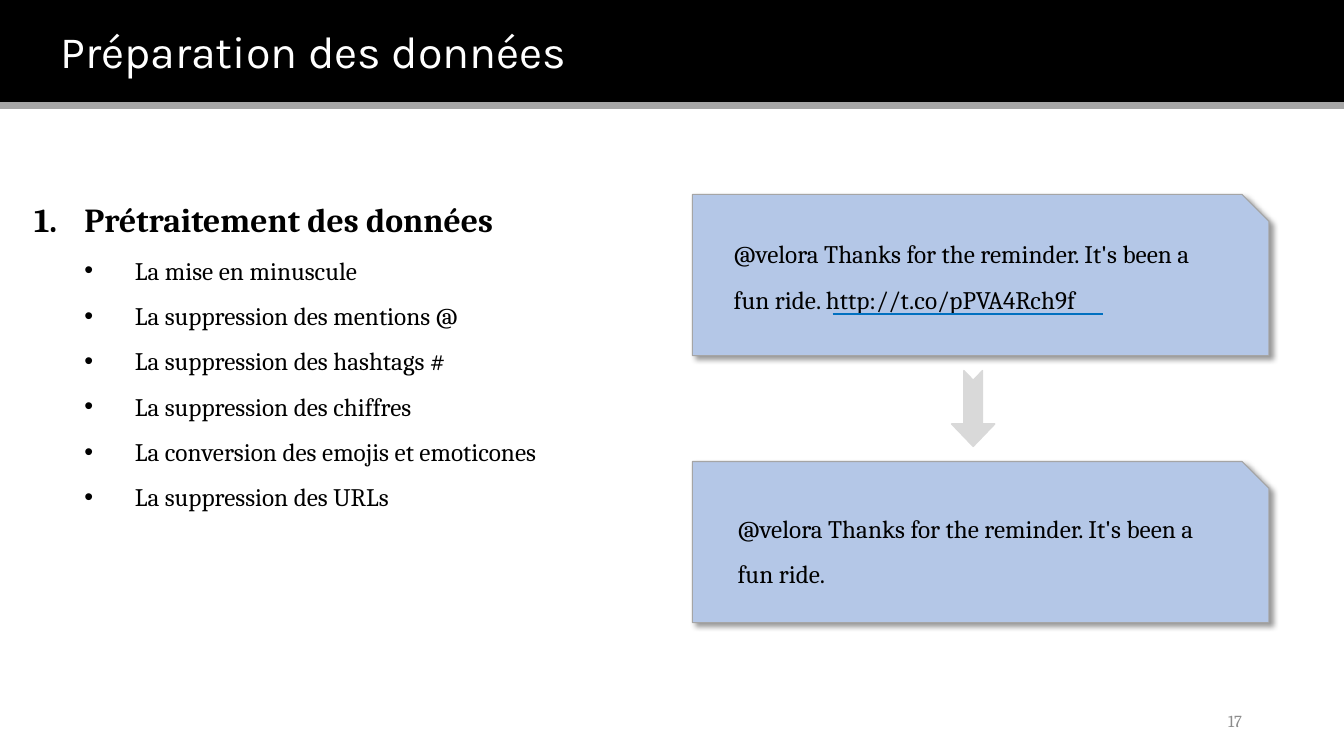
"""Build the slide on data preparation for tweets."""
from lxml import etree
from pptx import Presentation
from pptx.dml.color import RGBColor
from pptx.enum.shapes import MSO_CONNECTOR, MSO_SHAPE
from pptx.enum.text import MSO_ANCHOR, PP_ALIGN
from pptx.oxml.ns import qn
from pptx.util import Cm, Pt

RECTANGLE = MSO_SHAPE.RECTANGLE
CARD = MSO_SHAPE.SNIP_1_RECTANGLE
ARROW = MSO_SHAPE.NOTCHED_RIGHT_ARROW
STRAIGHT = MSO_CONNECTOR.STRAIGHT
MIDDLE = MSO_ANCHOR.MIDDLE
LEFT = PP_ALIGN.LEFT
RIGHT = PP_ALIGN.RIGHT

BLACK = RGBColor(0x00, 0x00, 0x00)
WHITE = RGBColor(0xFF, 0xFF, 0xFF)
BAR_GREY = RGBColor(0xA6, 0xA6, 0xA6)
CARD_BLUE = RGBColor(0xB4, 0xC7, 0xE7)
CARD_EDGE = RGBColor(0xA5, 0xA5, 0xA5)
ARROW_GREY = RGBColor(0xD9, 0xD9, 0xD9)
NUMBER_GREY = RGBColor(0x8C, 0x8C, 0x8C)
LINK_BLUE = RGBColor(0x00, 0x70, 0xC0)

BODY_FONT = "Cambria"
TITLE_FONT = "Karla"
INDENT = Cm(1.27)

STEPS = [
    "La mise en minuscule",
    "La suppression des mentions @",
    "La suppression des hashtags #",
    "La suppression des chiffres",
    "La conversion des emojis et emoticones",
    "La suppression des URLs",
]
CLEAN_TWEET = "@velora Thanks for the reminder. It's been a fun ride."
RAW_TWEET = f"{CLEAN_TWEET} http://t.co/pPVA4Rch9f"


def add_filled_shape(slide, kind, box, fill, edge, edge_width=1):
    """Add a preset shape with a plain fill and outline."""
    shape = slide.shapes.add_shape(kind, *map(Cm, box))
    shape.shadow.inherit = False
    shape.fill.solid()
    shape.fill.fore_color.rgb = fill
    shape.line.color.rgb = edge
    shape.line.width = Pt(edge_width)
    return shape


def add_text_box(slide, box, wrap=True):
    """Add an empty text box and return its text frame."""
    frame = slide.shapes.add_textbox(*map(Cm, box)).text_frame
    frame.word_wrap = wrap
    return frame


def style_font(paragraph, size, color=BLACK, name=BODY_FONT, bold=False):
    """Set the font of a whole paragraph."""
    font = paragraph.font
    font.size = Pt(size)
    font.name = name
    font.bold = bold
    font.color.rgb = color


def set_indent(paragraph, margin, indent):
    """Set the left margin and first-line indent of a paragraph."""
    properties = paragraph._p.get_or_add_pPr()
    properties.set("marL", str(margin))
    properties.set("indent", str(indent))
    return properties


def add_title(slide):
    """Add the black title band and the grey bar under it."""
    band = add_filled_shape(slide, RECTANGLE, (0, 0, 33.87, 2.57), BLACK, BLACK)
    band.text_frame.vertical_anchor = MIDDLE
    paragraph = band.text_frame.paragraphs[0]
    paragraph.text = "Préparation des données"
    paragraph.alignment = LEFT
    set_indent(paragraph, INDENT, 0)
    style_font(paragraph, 32, WHITE, TITLE_FONT)
    add_filled_shape(slide, RECTANGLE, (0, 2.59, 33.87, 0.13), BAR_GREY, BAR_GREY)


def add_steps(slide):
    """Add the numbered heading with its bulleted steps."""
    frame = add_text_box(slide, (0.61, 4.9, 14.1, 8.1), wrap=False)
    heading = frame.paragraphs[0]
    heading.text = "Prétraitement des données"
    properties = set_indent(heading, INDENT, -INDENT)
    etree.SubElement(properties, qn("a:buFont"), typeface="+mj-lt")
    etree.SubElement(properties, qn("a:buAutoNum"), type="arabicPeriod")
    style_font(heading, 24, bold=True)
    for step in STEPS:
        paragraph = frame.add_paragraph()
        paragraph.text = step
        paragraph.level = 1
        paragraph.line_spacing = 1.5
        properties = set_indent(paragraph, 2 * INDENT, -INDENT)
        etree.SubElement(properties, qn("a:buFont"), typeface="Arial")
        etree.SubElement(properties, qn("a:buChar"), char="•")
        style_font(paragraph, 18)


def add_card_shadow(shape):
    """Give a shape a soft shadow to the lower right."""
    effects = shape._element.spPr.find(qn("a:effectLst"))
    shadow = etree.SubElement(
        effects, qn("a:outerShdw"), blurRad=str(Pt(4)), dist=str(Pt(3)),
        dir="2700000", algn="tl", rotWithShape="0")
    color = etree.SubElement(shadow, qn("a:srgbClr"), val=str(BLACK))
    etree.SubElement(color, qn("a:alpha"), val="40000")


def add_tweet(slide, top, tweet, text_left, text_top):
    """Add a card with a tweet on it."""
    card = add_filled_shape(
        slide, CARD, (17.45, top, 14.53, 4.06), CARD_BLUE, CARD_EDGE, 0.75)
    add_card_shadow(card)
    frame = add_text_box(slide, (text_left, text_top, 12.93, 2.46))
    paragraph = frame.paragraphs[0]
    paragraph.text = tweet
    paragraph.line_spacing = 1.5
    style_font(paragraph, 18)


def add_underline(slide):
    """Underline the link in the raw tweet."""
    line = slide.shapes.add_connector(
        STRAIGHT, Cm(20.98), Cm(7.92), Cm(27.79), Cm(7.92))
    line.line.color.rgb = LINK_BLUE
    line.line.width = Pt(1.5)
    etree.SubElement(line._element.spPr, qn("a:effectLst"))


def add_arrow(slide):
    """Add the arrow that points down from the raw to the clean tweet."""
    arrow = add_filled_shape(
        slide, ARROW, (23.57, 9.75, 1.91, 1.09), ARROW_GREY, ARROW_GREY)
    arrow.rotation = 90
    arrow.adjustments[0] = 0.43
    arrow.adjustments[1] = 0.52


def add_slide_number(slide):
    """Add the page number at the lower right."""
    frame = add_text_box(slide, (23.93, 17.65, 7.62, 1.02))
    frame.vertical_anchor = MIDDLE
    paragraph = frame.paragraphs[0]
    paragraph.text = "17"
    paragraph.alignment = RIGHT
    style_font(paragraph, 12, NUMBER_GREY)


def main():
    """Build and save the presentation."""
    presentation = Presentation()
    presentation.slide_width = Cm(33.87)
    presentation.slide_height = Cm(19.05)
    slide = presentation.slides.add_slide(presentation.slide_layouts[6])
    add_title(slide)
    add_slide_number(slide)
    add_steps(slide)
    add_tweet(slide, 4.9, RAW_TWEET, 18.24, 5.51)
    add_underline(slide)
    add_tweet(slide, 11.63, CLEAN_TWEET, 18.34, 12.42)
    add_arrow(slide)
    presentation.save("out.pptx")


if __name__ == "__main__":
    main()
